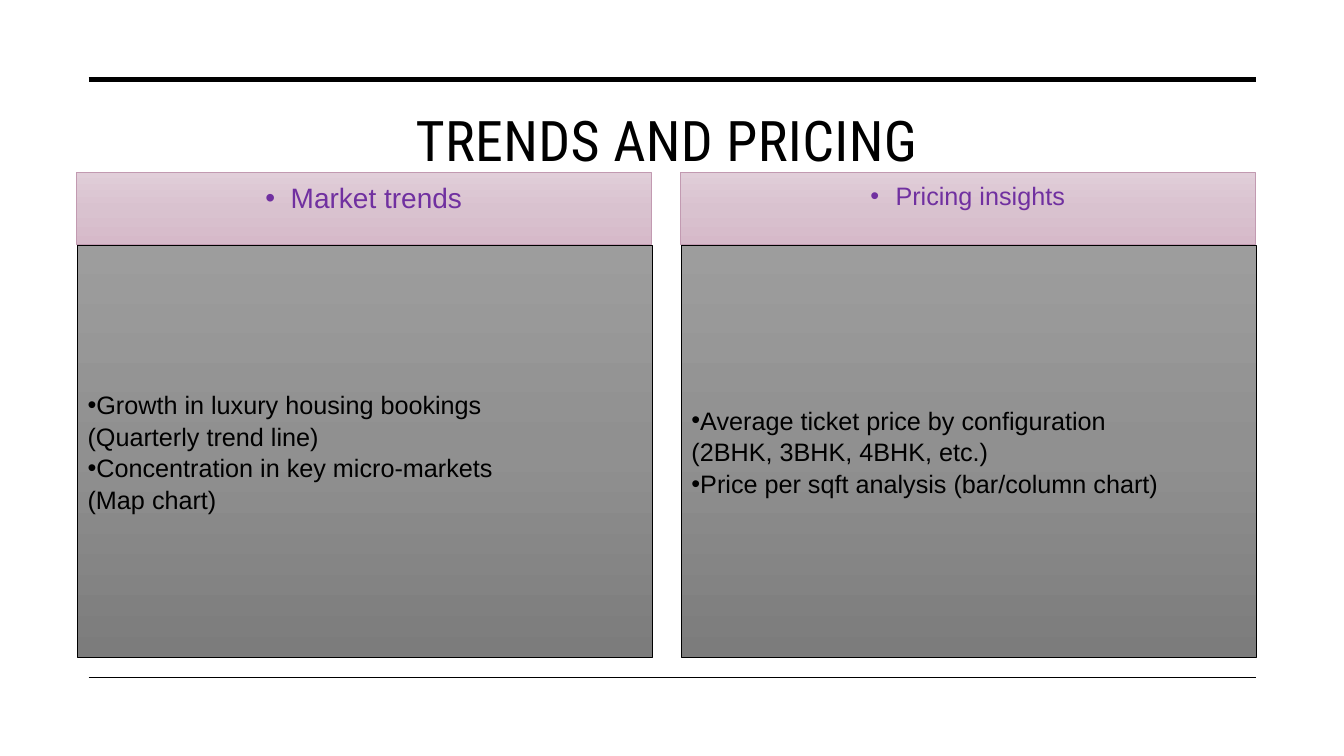
from copy import deepcopy

from lxml import etree
from pptx import Presentation
from pptx.dml.color import RGBColor
from pptx.enum.shapes import MSO_CONNECTOR
from pptx.enum.text import MSO_ANCHOR, MSO_AUTO_SIZE, PP_ALIGN
from pptx.oxml.ns import qn
from pptx.util import Pt

# Content
TITLE = "TRENDS AND PRICING"
# heading, heading size, lines as (text, has bullet)
COLUMNS = [
    ("Market trends", 20, [
        ("Growth in luxury housing bookings", True),
        ("(Quarterly trend line)", False),
        ("Concentration in key micro-markets", True),
        ("(Map chart)", False),
    ]),
    ("Pricing insights", 18, [
        ("Average ticket price by configuration", True),
        ("(2BHK, 3BHK, 4BHK, etc.)", False),
        ("Price per sqft analysis (bar/column chart)", True),
    ]),
]

# Look
BLACK, PURPLE = "000000", "7030A0"
PINK_STOPS, PINK_LINE = ["E1CED9", "D9C2CF", "D6B9C9"], "C29AB1"
GREY_STOPS = ["9D9D9D", "909090", "7C7C7C"]

# Layout in points
LEFT, COLUMN_WIDTH, COLUMN_STEP = 55.4, 410.4, 431.3
HEADING_TOP, HEADING_HEIGHT = 123.1, 51.8
BODY_TOP, BODY_HEIGHT = 175, 294.5
HEADING_SHIFT = -0.7
RULE_LEFT, RULE_RIGHT = 63.4, 897.1
RULES = [(56.9, 3.5), (483.8, 1)]  # y, width


def color(hex_string):
    return RGBColor.from_string(hex_string)


def place(shape, left, top, width, height):
    shape.left, shape.top = Pt(left), Pt(top)
    shape.width, shape.height = Pt(width), Pt(height)


def paint(shape, stops, line_color):
    """Top-to-bottom gradient with evenly spaced stops and a thin outline."""
    shape.fill.gradient()
    shape.fill.gradient_angle = 270
    stop_list = shape._element.spPr.find(qn("a:gradFill")).find(qn("a:gsLst"))
    while len(stop_list) < len(stops):
        stop_list.append(deepcopy(stop_list[0]))
    for index, stop in enumerate(shape.fill.gradient_stops):
        stop.position = index / (len(stops) - 1)
        stop.color.rgb = color(stops[index])
    shape.line.color.rgb = color(line_color)
    shape.line.width = Pt(0.5)


def prepare_frame(shape, anchor):
    frame = shape.text_frame
    frame.word_wrap = True
    frame.auto_size = MSO_AUTO_SIZE.NONE
    frame.vertical_anchor = anchor
    return frame


def format_paragraph(paragraph, font_name, size, font_color, align,
                     bullet=False, indent=0, spacing=1.0, before=0):
    paragraph.alignment = align
    paragraph.line_spacing = spacing
    paragraph.space_before = Pt(before)
    paragraph.space_after = Pt(0)
    properties = paragraph._p.get_or_add_pPr()
    properties.set("marL", str(Pt(indent)))
    properties.set("indent", str(-Pt(indent)))
    if bullet:
        etree.SubElement(properties, qn("a:buFont")).set("typeface", "Arial")
        etree.SubElement(properties, qn("a:buChar")).set("char", "•")
    else:
        etree.SubElement(properties, qn("a:buNone"))
    font = paragraph.font
    font.name, font.size, font.bold = font_name, Pt(size), False
    font.color.rgb = color(font_color)


def add_rule(slide, y, width):
    rule = slide.shapes.add_connector(
        MSO_CONNECTOR.STRAIGHT, Pt(RULE_LEFT), Pt(y), Pt(RULE_RIGHT), Pt(y))
    rule.line.color.rgb = color(BLACK)
    rule.line.width = Pt(width)
    etree.SubElement(rule._element.spPr, qn("a:effectLst"))


def add_title(shape):
    place(shape, LEFT, 72, 841.7, 103)
    frame = prepare_frame(shape, MSO_ANCHOR.TOP)
    frame.text = TITLE
    paragraph = frame.paragraphs[0]
    format_paragraph(paragraph, "Roboto Condensed", 40, BLACK, PP_ALIGN.CENTER)
    paragraph.runs[0]._r.get_or_add_rPr().set("spc", "30")


def add_heading(shape, left, text, size):
    place(shape, left + HEADING_SHIFT, HEADING_TOP, COLUMN_WIDTH, HEADING_HEIGHT)
    paint(shape, PINK_STOPS, PINK_LINE)
    frame = prepare_frame(shape, MSO_ANCHOR.TOP)
    frame.text = text
    format_paragraph(frame.paragraphs[0], "Arial", size, PURPLE, PP_ALIGN.CENTER,
                     bullet=True, indent=18, spacing=1.1, before=10)


def add_body(shape, left, lines):
    place(shape, left, BODY_TOP, COLUMN_WIDTH, BODY_HEIGHT)
    paint(shape, GREY_STOPS, BLACK)
    frame = prepare_frame(shape, MSO_ANCHOR.MIDDLE)
    frame.text = "\n".join(text for text, _ in lines)
    for paragraph, (_, bullet) in zip(frame.paragraphs, lines):
        format_paragraph(paragraph, "Arial", 18, BLACK, PP_ALIGN.LEFT,
                         bullet=bullet, spacing=1.05)


def main():
    presentation = Presentation()
    presentation.slide_width, presentation.slide_height = Pt(960), Pt(540)
    # The comparison layout holds a title and two heading/body pairs
    slide = presentation.slides.add_slide(presentation.slide_layouts[4])
    title, *column_shapes = slide.placeholders

    # Rules and title
    for y, width in RULES:
        add_rule(slide, y, width)
    add_title(title)

    # Columns
    pairs = zip(column_shapes[::2], column_shapes[1::2])
    for index, (heading, body) in enumerate(pairs):
        text, size, lines = COLUMNS[index]
        left = LEFT + index * COLUMN_STEP
        add_body(body, left, lines)
        add_heading(heading, left, text, size)

    presentation.save("out.pptx")


if __name__ == "__main__":
    main()
